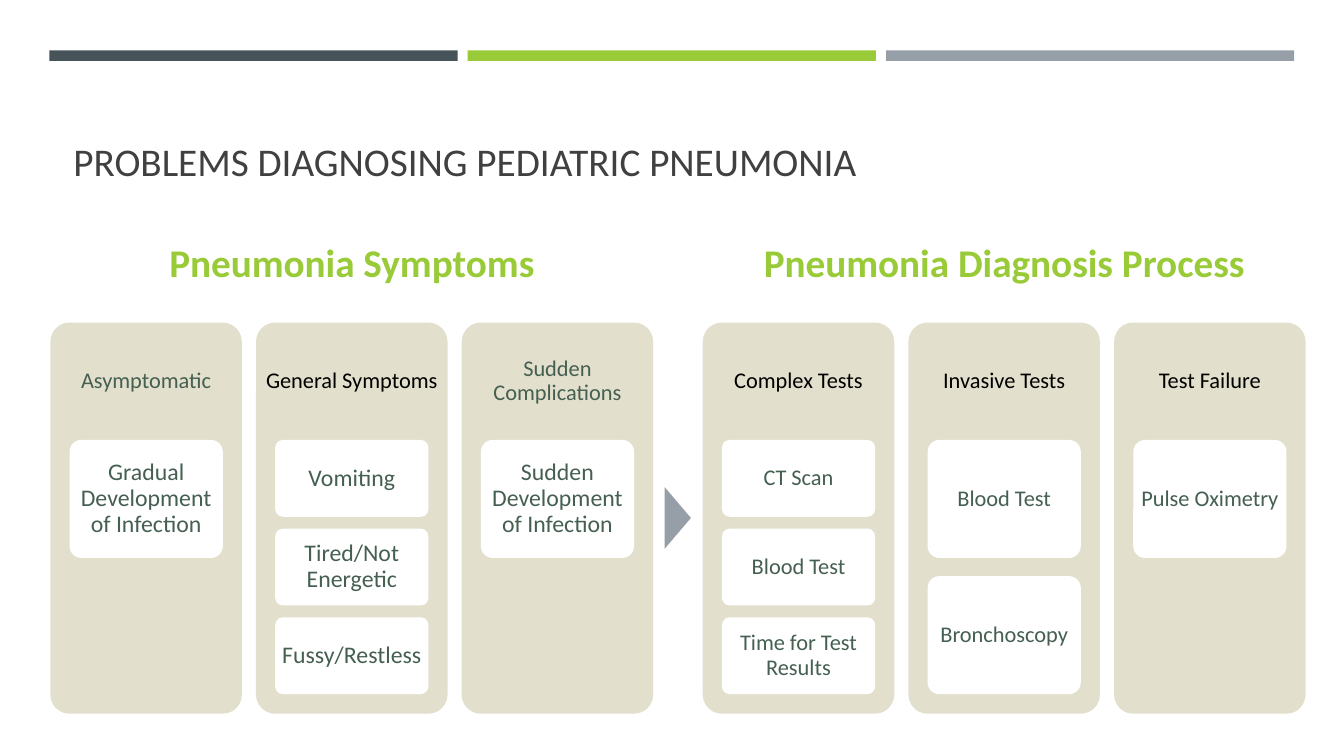
import pptx
import pptx.util
import pptx.dml.color
import pptx.enum.shapes
import pptx.enum.text

Pt = pptx.util.Pt
SHAPES = pptx.enum.shapes.MSO_SHAPE
ALIGN = pptx.enum.text.PP_ALIGN
ANCHOR = pptx.enum.text.MSO_ANCHOR

FONT = "Calibri"
COLORS = {
    "slate": "465359",
    "lime": "99CB38",
    "gray": "969FA7",
    "title": "404040",
    "sand": "E2DFCC",
    "white": "FFFFFF",
    "green": "455F51",
    "black": "000000",
}

SYMPTOMS = [
    ("Asymptomatic", "green", ["Gradual Development of Infection"]),
    ("General Symptoms", "black", ["Vomiting", "Tired/Not Energetic", "Fussy/Restless"]),
    ("Sudden Complications", "green", ["Sudden Development of Infection"]),
]
DIAGNOSIS = [
    ("Complex Tests", "black", ["CT Scan", "Blood Test", "Time for Test Results"]),
    ("Invasive Tests", "black", ["Blood Test", "Bronchoscopy"]),
    ("Test Failure", "black", ["Pulse Oximetry"]),
]


def rgb(name):
    return pptx.dml.color.RGBColor.from_string(COLORS[name])


def add_block(page, kind, box, color):
    """Add a filled preset shape without line or shadow."""
    block = page.shapes.add_shape(kind, *[Pt(length) for length in box])
    block.shadow.inherit = False
    block.fill.solid()
    block.fill.fore_color.rgb = rgb(color)
    block.line.fill.background()
    if kind == SHAPES.ROUNDED_RECTANGLE:
        block.adjustments[0] = 0.1
    return block


def write(shape, text, size, color, bold=False, align=ALIGN.CENTER,
          anchor=ANCHOR.MIDDLE, spacing=0.9, insets=(7.2, 3.6)):
    frame = shape.text_frame
    frame.word_wrap = True
    frame.vertical_anchor = anchor
    frame.margin_left = frame.margin_right = Pt(insets[0])
    frame.margin_top = frame.margin_bottom = Pt(insets[1])
    para = frame.paragraphs[0]
    para.alignment = align
    para.line_spacing = spacing
    span = para.add_run()
    span.text = text
    span.font.name = FONT
    span.font.size = Pt(size)
    span.font.bold = bold
    span.font.color.rgb = rgb(color)


def add_text(page, box, text, **style):
    write(page.shapes.add_textbox(*[Pt(length) for length in box]), text, **style)


def add_top_bars(page, left, top, width, height):
    gap = 7.2
    bar_width = (width - 2 * gap) / 3
    for index, color in enumerate(["slate", "lime", "gray"]):
        bar_left = left + index * (bar_width + gap)
        add_block(page, SHAPES.RECTANGLE, (bar_left, top, bar_width, height), color)


def add_column(page, box, heading, color, cards, card_size):
    """Draw a panel with its heading and a stack of at least two card slots."""
    left, top, width, height = box
    add_block(page, SHAPES.ROUNDED_RECTANGLE, box, "sand")
    add_text(page, (left, top, width, height * 0.3), heading,
             size=16, color=color, insets=(4.8, 4.8))

    slots = max(2, len(cards))
    gap_ratio = 2 / 13
    card_height = height * 0.65 / (slots + (slots - 1) * gap_ratio)
    for index, label in enumerate(cards):
        card_top = top + height * 0.3 + index * card_height * (1 + gap_ratio)
        card_box = (left + width * 0.1, card_top, width * 0.8, card_height)
        card = add_block(page, SHAPES.ROUNDED_RECTANGLE, card_box, "white")
        write(card, label, size=card_size, color="green", insets=(2.8, 2.2))


def add_group(page, left, top, width, height, title, columns, card_size):
    """Draw a titled row of equal columns."""
    add_text(page, (left, top, width, 41), title,
             size=28, color="lime", bold=True, anchor=ANCHOR.TOP, spacing=1)
    column_width, column_top = 136.8, 63.4
    pitch = (width - column_width) / (len(columns) - 1)
    for index, (heading, color, cards) in enumerate(columns):
        column_box = (left + index * pitch, top + column_top,
                      column_width, height - column_top)
        add_column(page, column_box, heading, color, cards, card_size)


def add_arrow(page, left, top, width, height):
    """Place a triangle that points right and fills the given box."""
    turned = (left + (width - height) / 2, top + (height - width) / 2, height, width)
    add_block(page, SHAPES.ISOSCELES_TRIANGLE, turned, "gray").rotation = 90


def main():
    deck = pptx.Presentation()
    deck.slide_width, deck.slide_height = Pt(960), Pt(540)
    page = deck.slides.add_slide(deck.slide_layouts[6])
    add_top_bars(page, 35.3, 36, 889.2, 7.6)
    add_text(page, (45.4, 57.6, 868.3, 77.8), "PROBLEMS DIAGNOSING PEDIATRIC PNEUMONIA",
             size=28, color="title", align=ALIGN.LEFT, anchor=ANCHOR.BOTTOM)
    add_arrow(page, 474.8, 348, 18.7, 43.9)
    add_group(page, 36, 167, 430.6, 342.8, "Pneumonia Symptoms", SYMPTOMS, 17)
    add_group(page, 502, 167, 430.6, 342.8, "Pneumonia Diagnosis Process", DIAGNOSIS, 16)
    deck.save("out.pptx")


if __name__ == "__main__":
    main()
